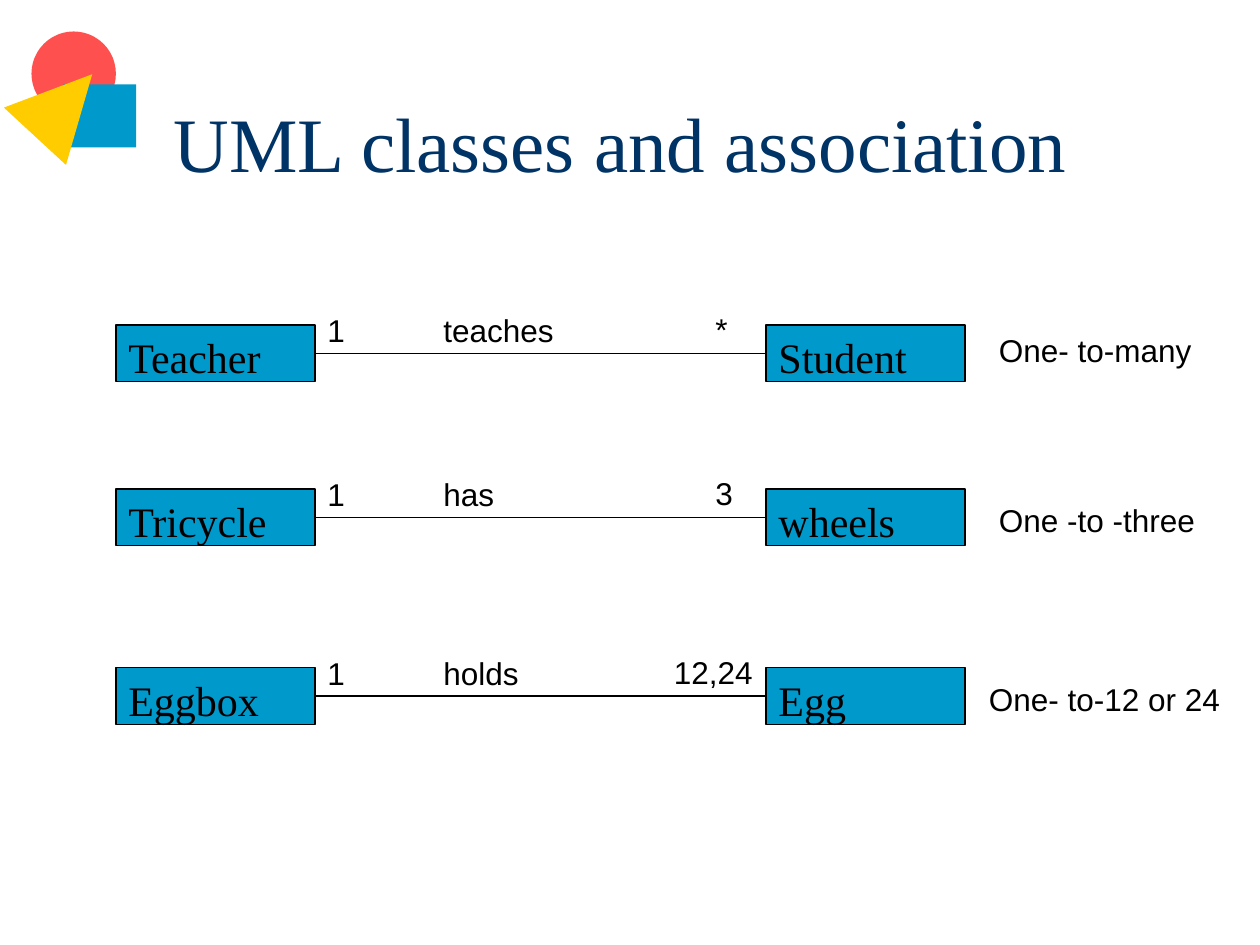
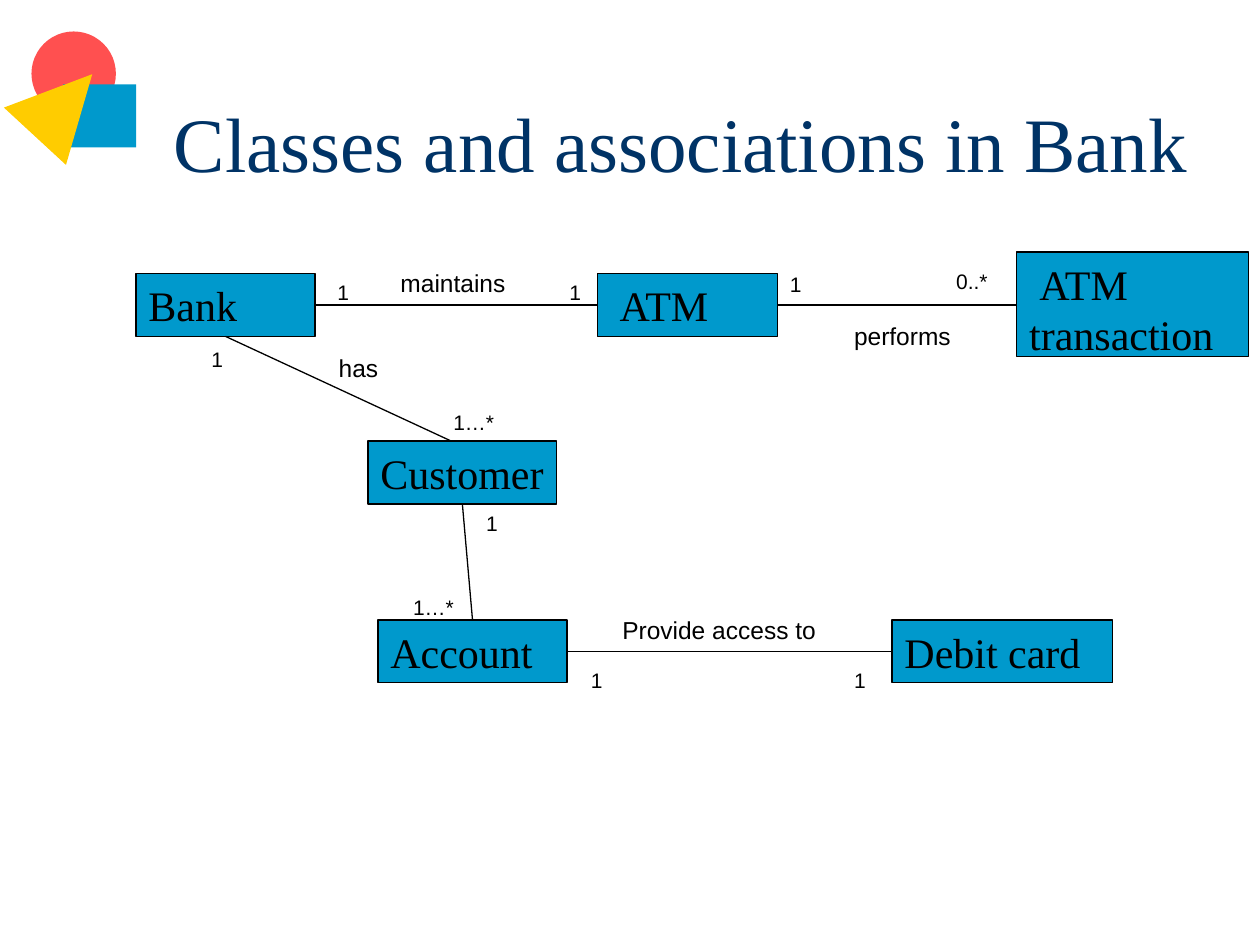
from lxml import etree
from pptx import Presentation
from pptx import util as u
from pptx.dml.color import RGBColor
from pptx.enum import shapes, text
from pptx.oxml.ns import qn

COLORS = {"title": "003366", "text": "000000", "line": "000000",
          "blue": "0099CC", "red": "FF5050", "yellow": "FFCC00"}
SERIF, SANS = "Times New Roman", "Arial"

# Corner emblem: preset, left, top, width, height, rotation, colour
EMBLEM = [
    (shapes.MSO_SHAPE.OVAL, 0.25, 0.25, 0.67, 0.67, 0, "red"),
    (shapes.MSO_SHAPE.RECTANGLE, 0.5, 0.67, 0.58, 0.5, 0, "blue"),
    (shapes.MSO_SHAPE.ISOSCELES_TRIANGLE, 0.17, 0.5, 0.67, 0.67, 42.7, "yellow"),
]


def write(box, words, size=18, font=SANS, color="text",
          anchor=text.MSO_ANCHOR.TOP, indent=0):
    frame = box.text_frame
    frame.word_wrap = True
    frame.auto_size = text.MSO_AUTO_SIZE.NONE
    frame.vertical_anchor = anchor
    para = frame.paragraphs[0]
    para.alignment = text.PP_ALIGN.LEFT
    if indent:
        para._p.get_or_add_pPr().set("indent", str(u.Inches(indent)))
    span = para.add_run()
    span.text = words
    span.font.size = u.Pt(size)
    span.font.name = font
    span.font.color.rgb = RGBColor.from_string(COLORS[color])


def add_filled(page, preset, left, top, width, height, color):
    shape = page.shapes.add_shape(preset, *map(u.Inches, (left, top, width, height)))
    shape.shadow.inherit = False
    shape.fill.solid()
    shape.fill.fore_color.rgb = RGBColor.from_string(COLORS[color])
    shape.line.fill.background()
    return shape


# Association rows: top, left class, verb, right class, multiplicity
# with its left and width, then the remark with its left, top and width
ROWS = [
    (2.58, "Teacher", "teaches", "Student", "*", 5.58, 0.5,
     "One- to-many", 7.83, 2.58, 1.84),
    (3.88, "Tricycle", "has", "wheels", "3", 5.58, 0.5,
     "One -to -three", 7.83, 3.93, 1.84),
    (5.3, "Eggbox", "holds", "Egg", "12,24", 5.25, 0.83,
     "One- to-12 or 24", 7.75, 5.35, 2.08),
]
row_boxes, row_lines, row_labels = [], [], []
for (top, left_class, verb, right_class, many, many_left, many_width,
     remark, remark_left, remark_top, remark_width) in ROWS:
    row_boxes += [(left_class, 0.92, top, 1.58, 0.45, 0),
                  (right_class, 6.08, top, 1.58, 0.45, 0)]
    row_lines.append((2.5, top + 0.225, 6.08, top + 0.225))
    row_labels += [("1", 2.5, top - 0.16, 0.5, 18),
                   (many, many_left, top - 0.17, many_width, 18),
                   (verb, 3.42, top - 0.16, 1.13, 18),
                   (remark, remark_left, remark_top, remark_width, 18)]

# Bank diagram: class boxes, association lines, labels
BANK_BOXES = [
    ("Bank", 1.08, 2.17, 1.42, 0.5, 0),
    ("ATM", 4.74, 2.17, 1.43, 0.5, 0.08),
    ("Customer", 2.92, 3.5, 1.5, 0.5, 0),
    ("Account", 3, 4.92, 1.5, 0.5, 0),
    ("Debit card", 7.08, 4.92, 1.75, 0.5, 0),
    ("ATM transaction", 8.07, 2, 1.84, 0.83, 0.08),
]
BANK_LINES = [
    (2.5, 2.42, 4.74, 2.42),
    (6.17, 2.42, 8.07, 2.42),
    (1.79, 2.67, 3.58, 3.5),
    (3.67, 4, 3.75, 4.92),
    (4.5, 5.17, 7.08, 5.17),
]
BANK_LABELS = [
    ("1", 2.58, 2.17, 0.33, 12),
    ("1", 4.42, 2.17, 0.33, 12),
    ("maintains", 3.08, 2.08, 1.07, 14),
    ("1", 6.17, 2.11, 0.41, 12),
    ("0..*", 7.49, 2.08, 0.59, 12),
    ("performs", 6.68, 2.5, 1.07, 14),
    ("1", 1.58, 2.7, 0.33, 12),
    ("has", 2.59, 2.75, 1.07, 14),
    ("1…*", 3.5, 3.2, 0.66, 12),
    ("1", 3.76, 4, 0.66, 12),
    ("1…*", 3.18, 4.67, 0.66, 12),
    ("1", 4.59, 5.25, 0.41, 12),
    ("1", 6.68, 5.25, 0.41, 12),
    ("Provide access to", 4.84, 4.83, 1.91, 14),
]
LABEL_HEIGHTS = {12: 0.3, 14: 0.34, 18: 0.4}

PAGES = [
    ("UML classes and association", row_boxes, row_lines, row_labels),
    ("Classes and associations in Bank", BANK_BOXES, BANK_LINES, BANK_LABELS),
]

deck = Presentation()
deck.slide_width, deck.slide_height = u.Inches(10), u.Inches(7.5)

for heading, boxes, lines, labels in PAGES:
    page = deck.slides.add_slide(deck.slide_layouts[5])

    # Title
    title = page.shapes.title
    title.left, title.top = u.Inches(1.28), u.Inches(0.5)
    title.width, title.height = u.Inches(8.5), u.Inches(1.25)
    write(title, heading, size=44, font=SERIF, color="title",
          anchor=text.MSO_ANCHOR.MIDDLE)

    # Corner emblem
    for preset, left, top, width, height, rotation, color in EMBLEM:
        part = add_filled(page, preset, left, top, width, height, color)
        part.rotation = rotation

    # Class boxes
    for name, left, top, width, height, indent in boxes:
        box = add_filled(page, shapes.MSO_SHAPE.RECTANGLE,
                         left, top, width, height, "blue")
        box.line.color.rgb = RGBColor.from_string(COLORS["line"])
        box.line.width = u.Pt(0.75)
        write(box, name, size=24, font=SERIF, indent=indent)

    # Association lines
    for ends in lines:
        line = page.shapes.add_connector(shapes.MSO_CONNECTOR.STRAIGHT,
                                         *map(u.Inches, ends))
        line.line.color.rgb = RGBColor.from_string(COLORS["line"])
        line.line.width = u.Pt(0.75)
        etree.SubElement(line._element.spPr, qn("a:effectLst"))

    # Multiplicities, verbs and remarks
    for words, left, top, width, size in labels:
        label = page.shapes.add_textbox(
            *map(u.Inches, (left, top, width, LABEL_HEIGHTS[size])))
        write(label, words, size=size)

deck.save("out.pptx")
